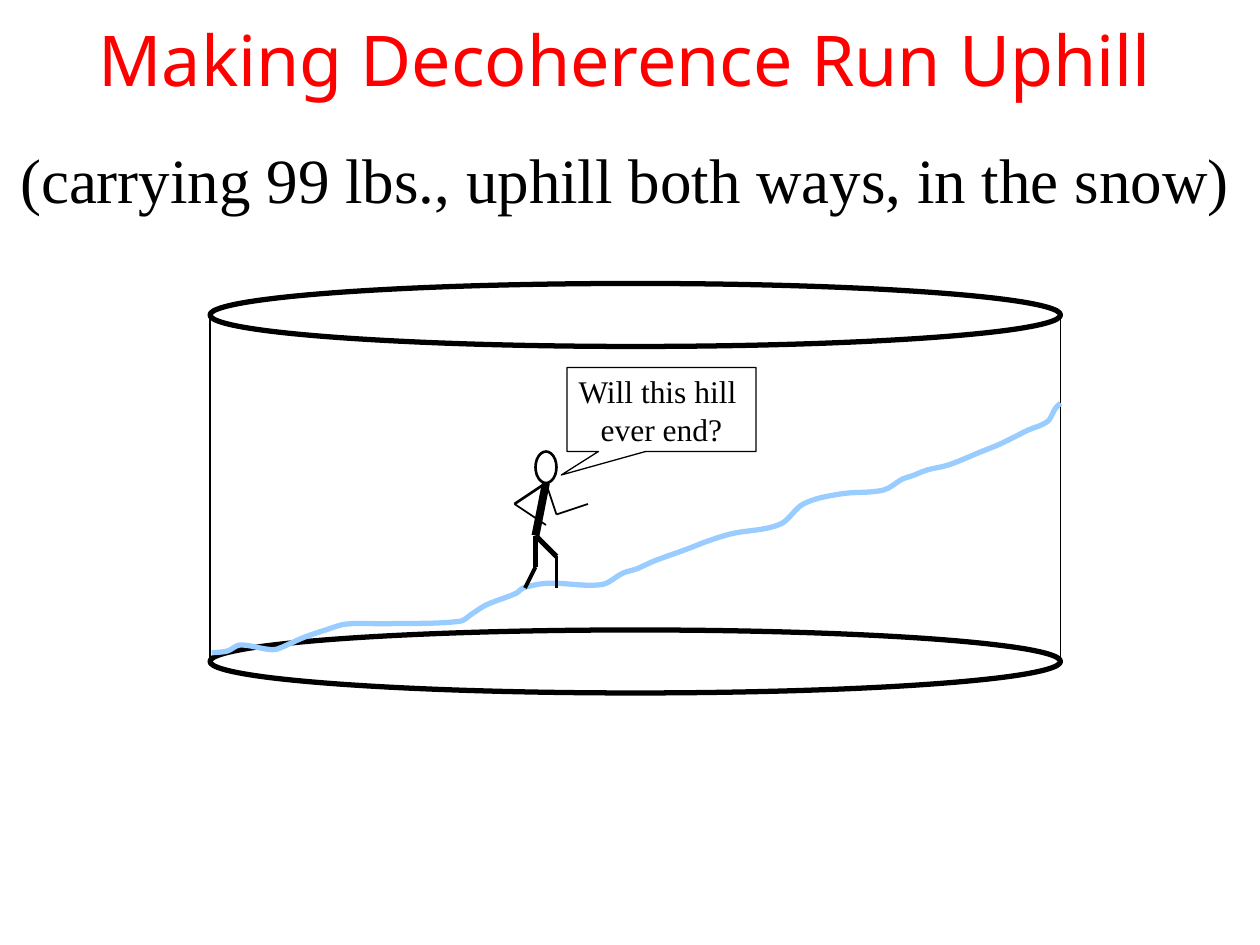
from dataclasses import dataclass

import lxml.etree
import pptx
import pptx.dml.color
import pptx.enum.shapes
import pptx.enum.text
import pptx.oxml.ns
import pptx.util

Pt = pptx.util.Pt
RGB = pptx.dml.color.RGBColor
Shape = pptx.enum.shapes.MSO_SHAPE
Anchor = pptx.enum.text.MSO_ANCHOR
qn = pptx.oxml.ns.qn


@dataclass(frozen=True)
class Theme:
    ink: RGB = RGB.from_string("000000")
    paper: RGB = RGB.from_string("FFFFFF")
    title: RGB = RGB.from_string("FF0000")
    snow: RGB = RGB.from_string("99CCFF")
    title_font: str = "Noto Sans"
    body_font: str = "Times New Roman"
    title_size: int = 40
    subtitle_size: int = 36
    speech_size: int = 18
    hairline: float = 0.75
    thin: float = 1
    medium: float = 1.5
    strong: float = 2.25
    bold: float = 3
    heavy: float = 4.5


def smooth_path(knots):
    """Return the first knot, then two handles and a knot per Bézier segment.

    The slope at a knot is that between its neighbours; each handle reaches
    a third of the way across its segment.
    """
    before = [knots[0]] + knots[:-1]
    after = knots[1:] + [knots[-1]]
    slopes = [(y1 - y0) / (x1 - x0)
              for (x0, y0), (x1, y1) in zip(before, after)]
    path = [knots[0]]
    for index in range(len(knots) - 1):
        (x0, y0), (x1, y1) = knots[index:index + 2]
        reach = (x1 - x0) / 3
        path += [(x0 + reach, y0 + reach * slopes[index]),
                 (x1 - reach, y1 - reach * slopes[index + 1]),
                 (x1, y1)]
    return path


class Sketch:
    """Holds the theme and the slide being drawn; all lengths are points."""

    def __init__(self, slide, theme):
        self.slide = slide
        self.theme = theme

    def stroke(self, item, color, weight):
        item.line.color.rgb = color
        item.line.width = Pt(weight)

    def line(self, start, end, weight):
        connector = self.slide.shapes.add_connector(
            pptx.enum.shapes.MSO_CONNECTOR.STRAIGHT, *map(Pt, start + end))
        self.stroke(connector, self.theme.ink, weight)
        properties = connector._element.find(qn("p:spPr"))
        lxml.etree.SubElement(properties, qn("a:effectLst"))

    def polyline(self, joints, weights):
        for start, end, weight in zip(joints, joints[1:], weights):
            self.line(start, end, weight)

    def shape(self, kind, bounds, weight, filled=True):
        shape = self.slide.shapes.add_shape(kind, *map(Pt, bounds))
        shape.shadow.inherit = False
        if filled:
            shape.fill.solid()
            shape.fill.fore_color.rgb = self.theme.paper
        else:
            shape.fill.background()
        self.stroke(shape, self.theme.ink, weight)
        return shape

    def curve(self, knots, color, weight):
        """Draw straight steps, then turn every three into one Bézier step."""
        points = [(Pt(x), Pt(y)) for x, y in smooth_path(knots)]
        builder = self.slide.shapes.build_freeform(*points[0])
        builder.add_line_segments(points[1:], close=False)
        shape = builder.convert_to_shape()
        shape.shadow.inherit = False
        shape.fill.background()
        self.stroke(shape, color, weight)
        path = next(shape._element.iter(qn("a:path")))
        steps = path.findall(qn("a:lnTo"))
        for index in range(0, len(steps), 3):
            bezier = lxml.etree.SubElement(path, qn("a:cubicBezTo"))
            for step in steps[index:index + 3]:
                bezier.append(step[0])
                path.remove(step)

    def text(self, shape, lines, anchor, wrap):
        """Fill a shape with (text, font, size, color, space before) lines."""
        frame = shape.text_frame
        frame.word_wrap = wrap
        frame.auto_size = pptx.enum.text.MSO_AUTO_SIZE.NONE
        frame.vertical_anchor = anchor
        frame.margin_left = frame.margin_right = Pt(7.2)
        frame.margin_top = frame.margin_bottom = Pt(3.6)
        for index, (words, font, size, color, before) in enumerate(lines):
            para = frame.add_paragraph() if index else frame.paragraphs[0]
            para.alignment = pptx.enum.text.PP_ALIGN.CENTER
            para.space_before = Pt(before)
            span = para.add_run()
            span.text = words
            span.font.name = font
            span.font.size = Pt(size)
            span.font.color.rgb = color

    def title(self, bounds, lines):
        box = self.slide.shapes.title
        box.left, box.top, box.width, box.height = map(Pt, bounds)
        self.text(box, lines, Anchor.TOP, True)


def draw_cylinder(sketch):
    left, width, rim = 120, 486, 36
    top, bottom = 162, 360
    for y in (top, bottom):
        sketch.shape(Shape.OVAL, (left, y, width, rim),
                     sketch.theme.bold, filled=False)
    for x in (left + width, left):
        sketch.line((x, top + rim / 2), (x, bottom + rim / 2),
                    sketch.theme.hairline)


def draw_hill(sketch):
    """Draw the snow line across the cylinder, from its foot to its top."""
    foot = [(121, 373), (130, 372), (137, 368.6), (153, 371), (158, 371)]
    first_rise = [(173, 364.5), (186, 360), (198, 356.6)]
    low_ledge = [(222, 356.4), (263, 355)]
    second_rise = [(270, 350.6), (278, 345.6), (295, 339), (299, 336)]
    walker_ledge = [(313, 333.3), (344, 334)]
    long_slope = [(356, 327.5), (364, 325), (374, 320.5), (392, 314),
                  (405, 309), (418, 305), (446, 299.5)]
    steep_step = [(459, 288), (480, 282.3)]
    high_ledge = [(505, 280)]
    last_slope = [(516, 273.6), (521, 272), (530, 268.5), (542, 265.7),
                  (561, 258), (572, 253.5), (587, 246)]
    crest = [(599, 240.5), (603, 233.5), (606, 230.4)]
    knots = (foot + first_rise + low_ledge + second_rise + walker_ledge
             + long_slope + steep_step + high_ledge + last_slope + crest)
    sketch.curve(knots, sketch.theme.snow, sketch.theme.bold)


def draw_walker(sketch):
    theme = sketch.theme
    hip, neck = (306, 306), (312, 276)
    front_leg = [hip, (318, 318), (318, 336)]
    back_leg = [hip, (306, 324), (300, 336)]
    back_arm = [neck, (294, 288), (312, 300)]
    front_arm = [neck, (318, 294), (336, 288)]
    for leg in (front_leg, back_leg):
        sketch.polyline(leg, (theme.bold, theme.strong))
    sketch.line(hip, neck, theme.heavy)
    sketch.polyline(back_arm, (theme.medium, theme.thin))
    sketch.polyline(front_arm, (theme.thin, theme.thin))

    head_width, head_height = 12, 18
    head_left, head_top = neck[0] - head_width / 2, neck[1] - head_height
    sketch.shape(Shape.OVAL, (head_left, head_top, head_width, head_height),
                 theme.medium)


def draw_speech(sketch):
    theme = sketch.theme
    balloon = sketch.shape(Shape.RECTANGULAR_CALLOUT, (324, 210, 108, 48),
                           theme.hairline)
    balloon.adjustments[0], balloon.adjustments[1] = -0.53, 0.78
    sketch.text(balloon, [
        (words, theme.body_font, theme.speech_size, theme.ink, 0)
        for words in ("Will this hill ", "ever end?")
    ], Anchor.MIDDLE, False)


def main():
    deck = pptx.Presentation()
    deck.slide_width, deck.slide_height = Pt(720), Pt(540)
    theme = Theme()
    sketch = Sketch(deck.slides.add_slide(deck.slide_layouts[5]), theme)
    for draw in (draw_cylinder, draw_hill, draw_walker, draw_speech):
        draw(sketch)
    sketch.title((0, 6, 714, 121), [
        ("Making Decoherence Run Uphill",
         theme.title_font, theme.title_size, theme.title, 0),
        ("(carrying 99 lbs., uphill both ways, in the snow)",
         theme.body_font, theme.subtitle_size, theme.ink, 22.5),
    ])
    deck.save("out.pptx")


if __name__ == "__main__":
    main()
